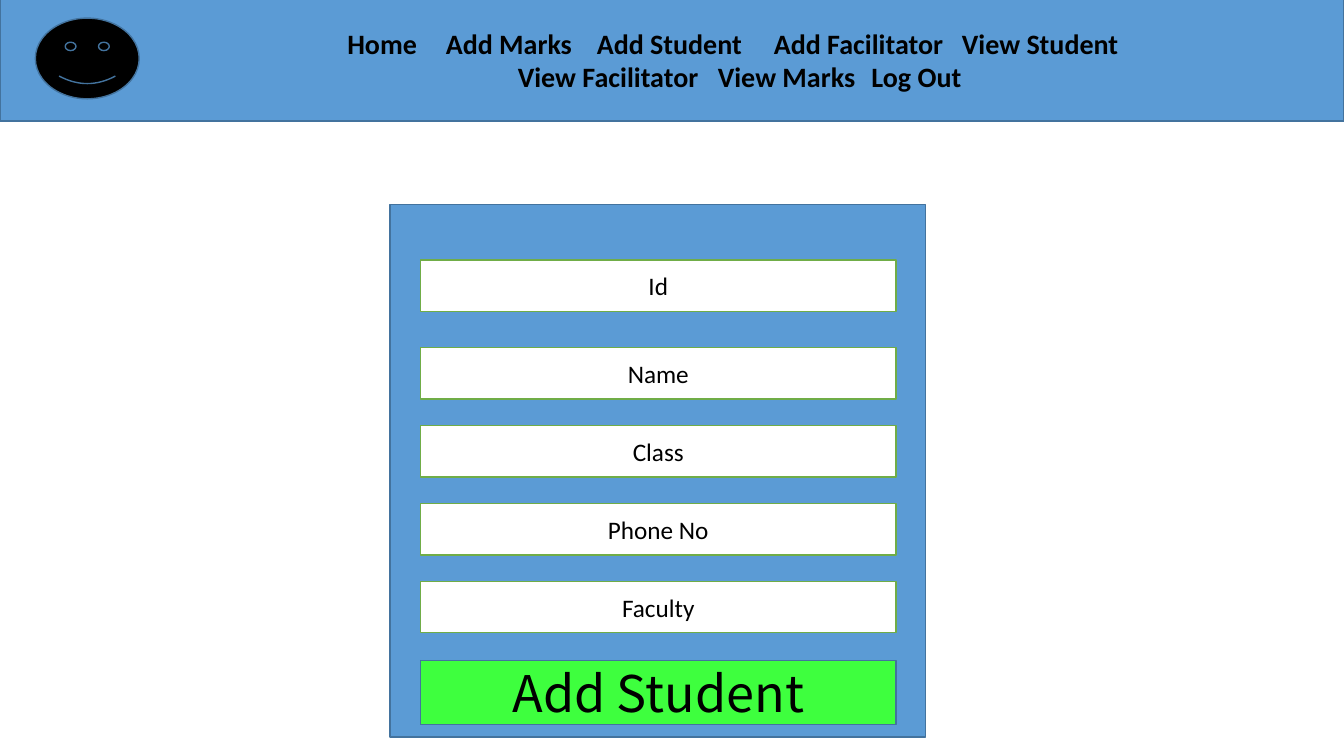
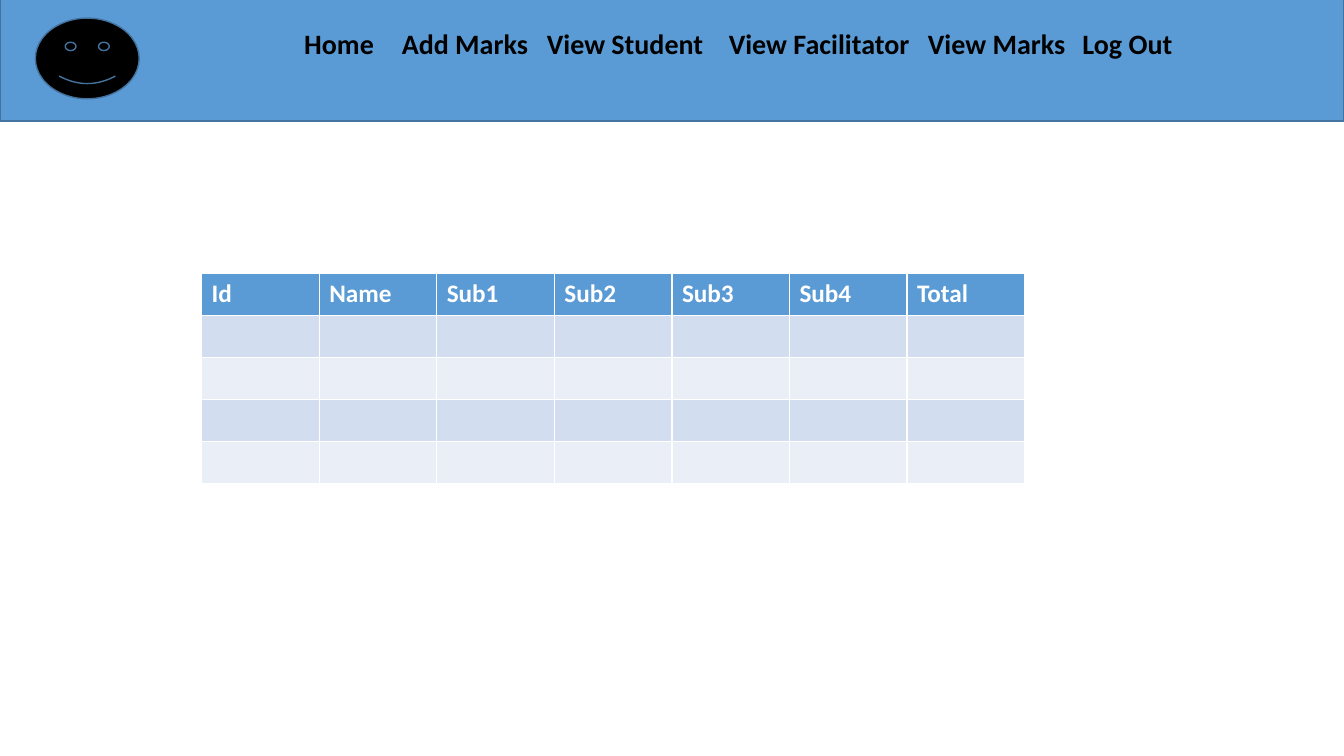
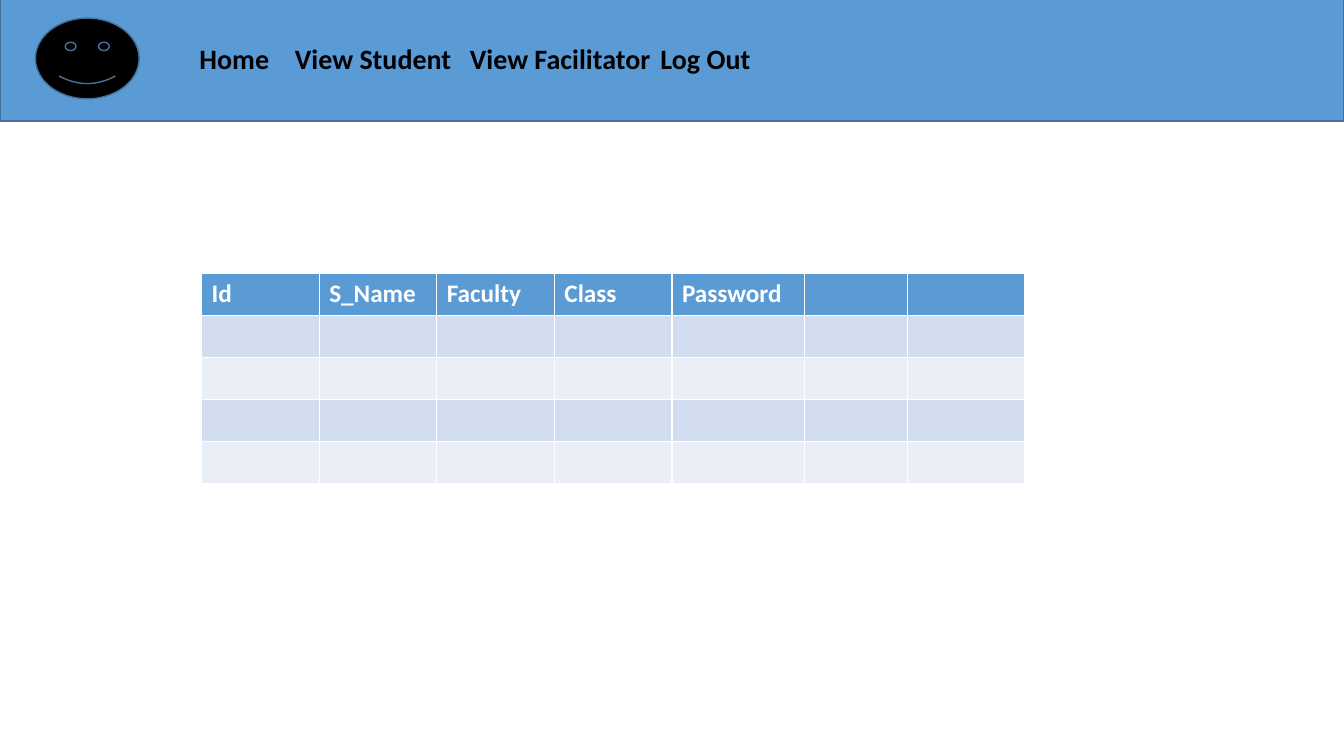
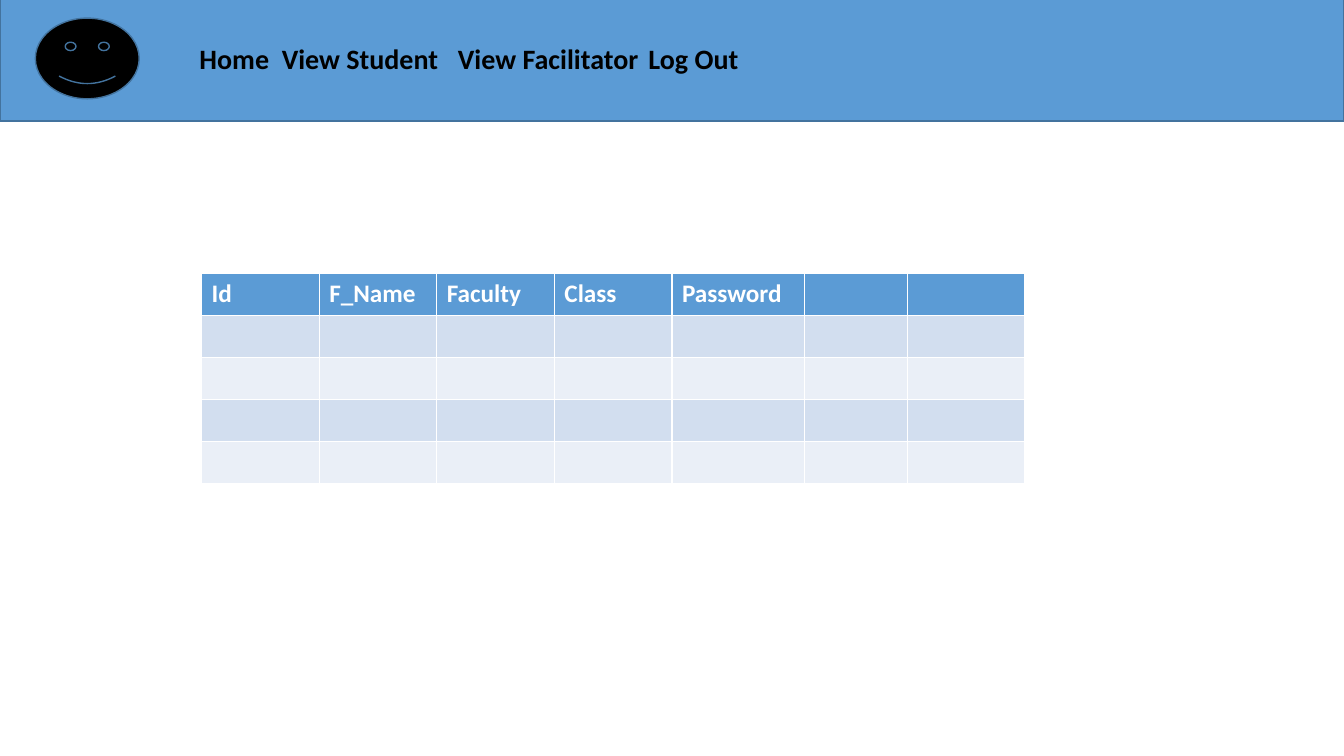
"""Build four screen mock-ups of a student marks system."""

import dataclasses
import typing

import lxml.etree
import pptx
import pptx.dml.color
import pptx.enum.shapes
import pptx.enum.text
import pptx.oxml.ns
import pptx.util

BLUE = "5B9BD5"
DARK_BLUE = "43739E"
GREEN = "70AD47"
BRIGHT_GREEN = "3EFF3E"
BLACK = "000000"
WHITE = "FFFFFF"
STRIPES = ("D2DEEF", "EAEFF7")

BODY_FONT = "Calibri"
BUTTON_FONT = "Noto Sans CJK JP"

SLIDE_WIDTH = pptx.util.Inches(13.33)
SLIDE_HEIGHT = pptx.util.Inches(7.5)
INSET = pptx.util.Inches(0.1)


class Area(typing.NamedTuple):
    """A rectangle in percent of the slide's width and height."""

    left: float
    top: float
    width: float
    height: float


class TextStyle(typing.NamedTuple):
    """The look of a piece of text."""

    size: int
    color: str = BLACK
    bold: bool = False
    font: str = BODY_FONT


class MenuItem(typing.NamedTuple):
    """A menu label and its start in percent of the slide's width."""

    label: str
    start: float


@dataclasses.dataclass(frozen=True)
class Panel:
    """A filled and outlined shape with an optional centred label."""

    area: Area
    fill: str
    line: str = DARK_BLUE
    label: str = ""
    style: TextStyle = TextStyle(18)
    outline: pptx.enum.shapes.MSO_SHAPE = pptx.enum.shapes.MSO_SHAPE.RECTANGLE


@dataclasses.dataclass(frozen=True)
class Menu:
    """The rows of navigation labels in the header band."""

    area: Area
    rows: tuple[tuple[MenuItem, ...], ...]


@dataclasses.dataclass(frozen=True)
class Records:
    """An empty record table with its headings and column widths."""

    headings: tuple[str, ...]
    columns: tuple[float, ...]


MENU_STYLE = TextStyle(20, bold=True)
HEADING_STYLE = TextStyle(18, WHITE, True)

HEADER = (
    Panel(Area(0, -0.53, 100, 16.53), BLUE),
    Panel(Area(2.63, 2.4, 7.73, 10.67), BLACK,
          outline=pptx.enum.shapes.MSO_SHAPE.SMILEY_FACE),
)

FORM_AREA = Area(29.03, 27.07, 39.83, 70.4)
FIELD_LEFT, FIELD_WIDTH, FIELD_HEIGHT = 31.28, 35.4, 6.8
ID_TOP, NAME_TOP, FIELD_STEP = 34.4, 46, 10.3
LOWER_FIELDS = ("Name", "Class", "Phone No", "Faculty")
FIELD_TOPS = {"Id": ID_TOP} | {
    label: NAME_TOP + index * FIELD_STEP for index, label in enumerate(LOWER_FIELDS)
}

TABLE_LEFT, TABLE_TOP = 15, 36.13
RECORD_ROWS, ROW_HEIGHT, COLUMN = 4, 5.56, 8.75
EQUAL_COLUMNS = (COLUMN,) * 7
PERSON_COLUMNS = (COLUMN,) * 4 + (9.85, 7.65, COLUMN)

SHORT_MENU_AREA = Area(14.1, 4.8, 77.25, 5.87)

ADD_STUDENT_MENU = Menu(Area(13.88, 2.8, 83.03, 10.27), (
    (MenuItem("Home", 25.85), MenuItem("Add Marks", 33.18),
     MenuItem("Add Student", 44.42), MenuItem("Add Facilitator", 57.59),
     MenuItem("View Student", 71.58)),
    (MenuItem("View Facilitator", 38.54), MenuItem("View Marks", 53.42),
     MenuItem("Log Out", 64.85)),
))
MARKS_MENU = Menu(Area(13.88, 2.8, 83.03, 5.87), (
    (MenuItem("Home", 22.65), MenuItem("Add Marks", 29.91),
     MenuItem("View Student", 40.7), MenuItem("View Facilitator", 54.24),
     MenuItem("View Marks", 69.05), MenuItem("Log Out", 80.55)),
))
STUDENTS_MENU = Menu(SHORT_MENU_AREA, (
    (MenuItem("Home", 14.85), MenuItem("View Student", 21.95),
     MenuItem("View Facilitator", 34.97), MenuItem("Log Out", 49.15)),
))
FACILITATORS_MENU = Menu(SHORT_MENU_AREA, (
    (MenuItem("Home", 14.85), MenuItem("View Student", 20.98),
     MenuItem("View Facilitator", 34.08), MenuItem("Log Out", 48.26)),
))

RECORD_SCREENS = (
    (MARKS_MENU, Records(
        ("Id", "Name", "Sub1", "Sub2", "Sub3", "Sub4", "Total"), EQUAL_COLUMNS)),
    (STUDENTS_MENU, Records(
        ("Id", "S_Name", "Faculty", "Class", "Password", "", ""), PERSON_COLUMNS)),
    (FACILITATORS_MENU, Records(
        ("Id", "F_Name", "Faculty", "Class", "Password", "", ""), PERSON_COLUMNS)),
)


def across(percent: float) -> int:
    """Return a share of the slide's width."""
    return round(SLIDE_WIDTH * percent / 100)


def down(percent: float) -> int:
    """Return a share of the slide's height."""
    return round(SLIDE_HEIGHT * percent / 100)


def place(area: Area) -> tuple[int, int, int, int]:
    """Return left, top, width and height for an area."""
    return across(area.left), down(area.top), across(area.width), down(area.height)


def paint(target: typing.Any, color: str) -> None:
    """Give a fill or a font a solid colour."""
    if hasattr(target, "solid"):
        target.solid()
        target = target.fore_color
    else:
        target = target.color
    target.rgb = pptx.dml.color.RGBColor.from_string(color)


def format_runs(paragraph: typing.Any, style: TextStyle) -> None:
    """Apply a text style to every run of a paragraph."""
    for run in paragraph.runs:
        run.font.size = pptx.util.Pt(style.size)
        run.font.name = style.font
        run.font.bold = style.bold
        paint(run.font, style.color)


def draw_panel(slide: typing.Any, panel: Panel) -> None:
    """Draw a panel with its label in the middle."""
    shape = slide.shapes.add_shape(panel.outline, *place(panel.area))
    shape.shadow.inherit = False
    paint(shape.fill, panel.fill)
    paint(shape.line, panel.line)
    shape.line.width = pptx.util.Pt(1)
    if panel.label:
        frame = shape.text_frame
        frame.text = panel.label
        frame.vertical_anchor = pptx.enum.text.MSO_ANCHOR.MIDDLE
        frame.paragraphs[0].alignment = pptx.enum.text.PP_ALIGN.CENTER
        format_runs(frame.paragraphs[0], panel.style)


def set_tab_stops(paragraph: typing.Any, positions: list[int]) -> None:
    """Add left tab stops to a paragraph."""
    qualified = pptx.oxml.ns.qn
    stops = lxml.etree.SubElement(
        paragraph._p.get_or_add_pPr(), qualified("a:tabLst"))
    for position in positions:
        lxml.etree.SubElement(
            stops, qualified("a:tab"), pos=str(position), algn="l")


def draw_menu(slide: typing.Any, menu: Menu) -> None:
    """Draw the menu rows, each label at its own tab stop."""
    frame = slide.shapes.add_textbox(*place(menu.area)).text_frame
    frame.word_wrap = True
    frame.auto_size = pptx.enum.text.MSO_AUTO_SIZE.SHAPE_TO_FIT_TEXT
    text_left = across(menu.area.left) + INSET
    for index, row in enumerate(menu.rows):
        paragraph = frame.add_paragraph() if index else frame.paragraphs[0]
        indented = across(row[0].start) > text_left
        labels = "\t".join(item.label for item in row)
        paragraph.text = f"\t{labels}" if indented else labels
        stops = row if indented else row[1:]
        set_tab_stops(paragraph, [across(item.start) - text_left for item in stops])
        format_runs(paragraph, MENU_STYLE)


def draw_records(slide: typing.Any, records: Records) -> None:
    """Draw a striped table with headings and empty records."""
    row_count = RECORD_ROWS + 1
    area = Area(TABLE_LEFT, TABLE_TOP, sum(records.columns), row_count * ROW_HEIGHT)
    table = slide.shapes.add_table(
        row_count, len(records.columns), *place(area)).table
    for column, width in zip(table.columns, records.columns):
        column.width = across(width)
    for index, row in enumerate(table.rows):
        row.height = down(ROW_HEIGHT)
        for cell in row.cells:
            paint(cell.fill, STRIPES[(index - 1) % 2] if index else BLUE)
    for cell, heading in zip(table.rows[0].cells, records.headings):
        if heading:
            cell.text_frame.text = heading
            format_runs(cell.text_frame.paragraphs[0], HEADING_STYLE)


def draw_form(slide: typing.Any) -> None:
    """Draw the form for a new student."""
    draw_panel(slide, Panel(FORM_AREA, BLUE))
    for label, top in FIELD_TOPS.items():
        field_area = Area(FIELD_LEFT, top, FIELD_WIDTH, FIELD_HEIGHT)
        draw_panel(slide, Panel(field_area, WHITE, GREEN, label))
    button_area = Area(FIELD_LEFT, 87.33, FIELD_WIDTH, 8.53)
    draw_panel(slide, Panel(button_area, BRIGHT_GREEN, label="Add Student",
                            style=TextStyle(36, font=BUTTON_FONT)))


def add_screen(deck: typing.Any, menu: Menu) -> typing.Any:
    """Add a blank slide with the header band and its menu."""
    slide = deck.slides.add_slide(deck.slide_layouts[6])
    for panel in HEADER:
        draw_panel(slide, panel)
    draw_menu(slide, menu)
    return slide


def main() -> None:
    """Build and save the deck."""
    deck = pptx.Presentation()
    deck.slide_width = SLIDE_WIDTH
    deck.slide_height = SLIDE_HEIGHT
    draw_form(add_screen(deck, ADD_STUDENT_MENU))
    for menu, records in RECORD_SCREENS:
        draw_records(add_screen(deck, menu), records)
    deck.save("out.pptx")


main()
